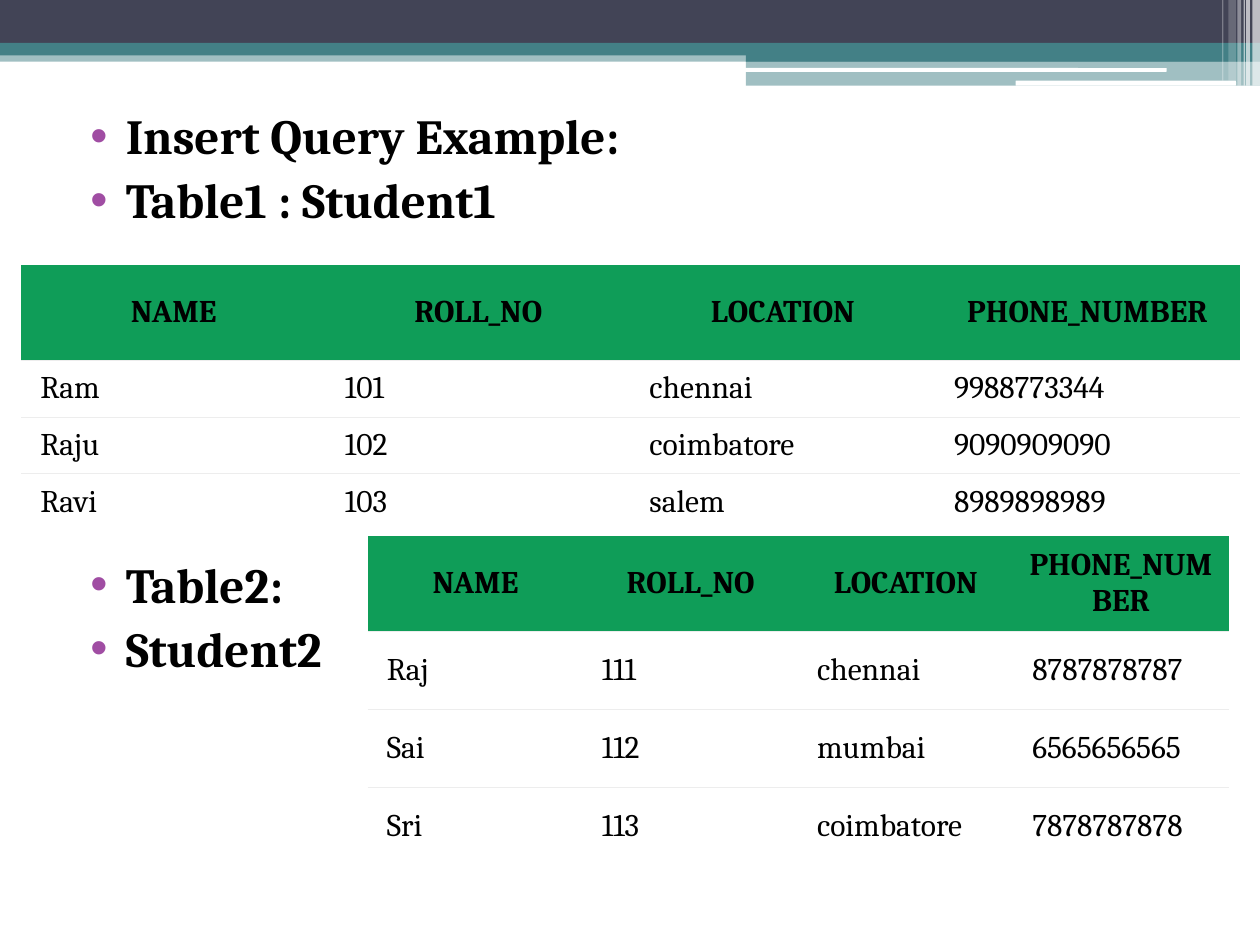
from pptx import Presentation
from pptx.dml.color import RGBColor
from pptx.enum.shapes import MSO_SHAPE as Shape
from pptx.enum.text import MSO_ANCHOR as Anchor, PP_ALIGN as Align
from pptx.oxml.ns import qn
from pptx.oxml.xmlchemy import OxmlElement
from pptx.util import Inches, Pt

BLACK = RGBColor(0x00, 0x00, 0x00)
WHITE = RGBColor(0xFF, 0xFF, 0xFF)
NAVY = RGBColor(0x42, 0x44, 0x56)
TEAL = RGBColor(0x43, 0x80, 0x86)
PURPLE = RGBColor(0xA0, 0x4D, 0xA3)
GREEN = RGBColor(0x0F, 0x9D, 0x58)
RULE_GREY = RGBColor(0xED, 0xED, 0xED)

FONT = "Cambria"
NO_GRID_STYLE = "{2D5ABB26-0587-4C30-8999-92F81FD0307C}"
COLUMNS = ("NAME", "ROLL_NO", "LOCATION", "PHONE_NUMBER")

# left, top, width, height in inches, colour, opacity in percent
BANDS = (
    (0, 0.4, 10, 0.09, TEAL, 50),
    (0, 0, 10, 0.34, NAVY, 100),
    (0, 0.34, 10, 0.1, TEAL, 100),
    (5.92, 0.39, 4.08, 0.1, TEAL, 100),
    (5.92, 0.48, 4.08, 0.2, TEAL, 50),
)
WHITE_BARS = ((5.91, 0.54, 3.35, 0.03), (8.06, 0.64, 1.75, 0.04))
# left, width, height in inches, opacity in percent
STRIPES = (
    (9.94, 0.06, 0.68, 65),
    (9.89, 0.03, 0.68, 65),
    (9.87, 0.01, 0.68, 60),
    (9.82, 0.03, 0.68, 40),
    (9.75, 0.06, 0.64, 20),
    (9.7, 0.01, 0.64, 30),
)
STUDENT1 = (
    ("Ram", "101", "chennai", "9988773344"),
    ("Raju", "102", "coimbatore", "9090909090"),
    ("Ravi", "103", "salem", "8989898989"),
)
STUDENT2 = (
    ("Raj", "111", "chennai", "8787878787"),
    ("Sai", "112", "mumbai", "6565656565"),
    ("Sri", "113", "coimbatore", "7878787878"),
)


def add_child(parent, tag, **attributes):
    child = OxmlElement(tag)
    for name, value in attributes.items():
        child.set(name, str(value))
    parent.append(child)
    return child


def add_bar(slide, left, top, width, height, color, opacity=100, kind=Shape.RECTANGLE):
    bar = slide.shapes.add_shape(
        kind, Inches(left), Inches(top), Inches(width), Inches(height))
    bar.shadow.inherit = False
    bar.line.fill.background()
    bar.fill.solid()
    bar.fill.fore_color.rgb = color
    if opacity < 100:
        color_element = bar.fill._xPr.find(qn("a:solidFill"))[0]
        add_child(color_element, "a:alpha", val=opacity * 1000)


def add_banner(slide):
    for band in BANDS:
        add_bar(slide, *band)
    for white_bar in WHITE_BARS:
        add_bar(slide, *white_bar, WHITE, kind=Shape.ROUNDED_RECTANGLE)
    for left, width, height, opacity in STRIPES:
        add_bar(slide, left, 0, width, height, WHITE, opacity)


def add_text(paragraph, text, size, bold):
    run = paragraph.add_run()
    run.text = text
    run.font.name = FONT
    run.font.size = Pt(size)
    run.font.bold = bold
    run.font.color.rgb = BLACK


def add_bullets(slide, top, width, lines):
    box = slide.shapes.add_textbox(
        Inches(0.5), Inches(top), Inches(width), Inches(1.15))
    frame = box.text_frame
    frame.word_wrap = True
    for index, line in enumerate(lines):
        paragraph = frame.add_paragraph() if index else frame.paragraphs[0]
        properties = paragraph._p.get_or_add_pPr()
        properties.set("marL", str(Inches(0.4)))
        properties.set("indent", str(Inches(-0.28)))
        bullet_color = add_child(properties, "a:buClr")
        add_child(bullet_color, "a:srgbClr", val=PURPLE)
        add_child(properties, "a:buFont", typeface="Arial")
        add_child(properties, "a:buChar", char="•")
        if index:
            paragraph.space_before = Pt(3)
        add_text(paragraph, line, 28, True)


def add_bottom_rule(cell):
    rule = add_child(cell._tc.get_or_add_tcPr(), "a:lnB", w=Pt(0.34))
    add_child(add_child(rule, "a:solidFill"), "a:srgbClr", val=RULE_GREY)


def fill_cell(cell, text, is_header, is_last):
    cell.vertical_anchor = Anchor.MIDDLE
    cell.margin_left = cell.margin_right = Inches(0.08 if is_header else 0.15)
    if not is_last:
        add_bottom_rule(cell)
    cell.fill.solid()
    cell.fill.fore_color.rgb = GREEN if is_header else WHITE
    paragraph = cell.text_frame.paragraphs[0]
    paragraph.alignment = Align.CENTER if is_header else Align.LEFT
    add_text(paragraph, text, 18, is_header)


def add_student_table(slide, left, top, width, row_height, students):
    rows = (COLUMNS, *students)
    header_height = 0.76
    height = header_height + row_height * len(students)
    graphic = slide.shapes.add_table(
        len(rows), len(COLUMNS),
        Inches(left), Inches(top), Inches(width), Inches(height))
    table = graphic.table
    table.horz_banding = False
    table._tbl.tblPr.find(qn("a:tableStyleId")).text = NO_GRID_STYLE
    for row_index, values in enumerate(rows):
        is_header = row_index == 0
        table.rows[row_index].height = Inches(header_height if is_header else row_height)
        for column_index, value in enumerate(values):
            fill_cell(table.cell(row_index, column_index), value,
                      is_header, row_index == len(rows) - 1)


def main():
    presentation = Presentation()
    presentation.slide_width = Inches(10)
    presentation.slide_height = Inches(7.5)
    slide = presentation.slides.add_slide(presentation.slide_layouts[6])
    add_banner(slide)
    add_bullets(slide, 0.79, 9, ("Insert Query Example:", "Table1 : Student1"))
    add_bullets(slide, 4.35, 2.4, ("Table2:", "Student2"))
    add_student_table(slide, 0.17, 2.1, 9.67, 0.45, STUDENT1)
    add_student_table(slide, 2.92, 4.25, 6.83, 0.62, STUDENT2)
    presentation.save("out.pptx")


if __name__ == "__main__":
    main()
